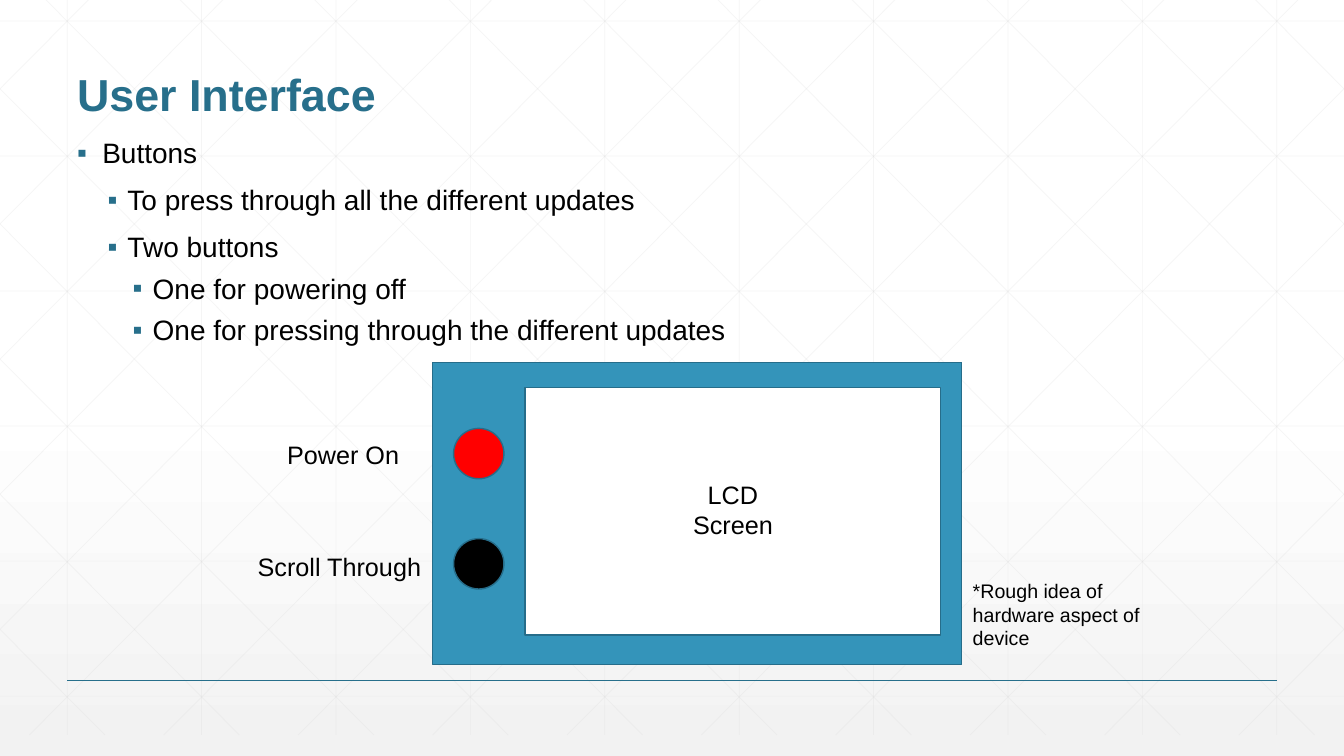
from dataclasses import dataclass

from lxml.etree import SubElement
from pptx import Presentation
from pptx.dml.color import RGBColor
from pptx.enum.shapes import MSO_CONNECTOR as Link, MSO_SHAPE as Kind
from pptx.enum.text import MSO_ANCHOR as Anchor, PP_ALIGN as Align
from pptx.oxml.ns import qn
from pptx.util import Emu, Pt

SCALE = 9525  # EMU in one px, 96 px to the inch
WIDE, HIGH = 1280, 720
FONT = "Arial"
BLACK, WHITE, TEAL, EDGE, GRID = "000000", "FFFFFF", "276F8B", "266D8A", "D9D9D9"


@dataclass
class Box:
    x: int
    y: int
    w: int
    h: int


@dataclass
class Part:
    kind: Kind
    box: Box
    fill: str


@dataclass
class Label:
    text: str
    box: Box
    size: int = 18
    color: str = BLACK
    bold: bool = False
    align: Align = Align.LEFT
    anchor: Anchor = Anchor.TOP
    lead: float = 1.0


@dataclass
class Level:
    left: int
    hang: int
    before: int


LEVELS = [Level(24, 24, 18), Level(48, 19, 12), Level(72, 19, 8)]
POINTS = [
    (0, "Buttons"),
    (1, "To press through all the different updates"),
    (1, "Two buttons"),
    (2, "One for powering off"),
    (2, "One for pressing through the different updates"),
]
PARTS = [
    Part(Kind.RECTANGLE, Box(412, 345, 504, 288), "3494BA"),
    Part(Kind.RECTANGLE, Box(500, 369, 396, 236), WHITE),
    Part(Kind.OVAL, Box(432, 408, 48, 48), "FF0000"),
    Part(Kind.OVAL, Box(432, 513, 48, 48), BLACK),
]
LABELS = [
    Label("User Interface", Box(64, 24, 1152, 96), 32, TEAL, True,
          anchor=Anchor.BOTTOM, lead=0.9),
    Label("LCD Screen", Box(632, 452, 132, 68), align=Align.CENTER),
    Label("Power On", Box(264, 414, 128, 38)),
    Label("Scroll Through", Box(236, 520, 176, 38)),
    Label("*Rough idea of hardware aspect of device", Box(917, 547, 192, 78), 14),
]


def px(n: float) -> Emu:
    return Emu(round(n * SCALE))


def place(box: Box) -> tuple:
    return px(box.x), px(box.y), px(box.w), px(box.h)


def rgb(code: str) -> RGBColor:
    return RGBColor.from_string(code)


def rule(slide, x1: float, y1: float, x2: float, y2: float,
         color: str = GRID, width: float = 0.5, alpha: int = 25) -> None:
    line = slide.shapes.add_connector(Link.STRAIGHT, px(x1), px(y1), px(x2), px(y2))
    line.line.width = Pt(width)
    line.line.color.rgb = rgb(color)
    props = line._element.spPr
    if alpha < 100:
        tint = props.find(".//" + qn("a:srgbClr"))
        SubElement(tint, qn("a:alpha"), val=str(alpha * 1000))
    SubElement(props, qn("a:effectLst"))


def lattice(slide) -> None:
    top, end, step, run = -20, 700, 128, 716
    slope = (end - top) / run
    for col in range(10):
        x = 64 + step * col
        rule(slide, x, top, x, end)
    for row in range(6):
        y = 20 + 128.6 * row
        rule(slide, 0, y, WIDE, y)
    # Diagonals, cut at the slide edges, each with its mirror
    for col in range(-5, 10):
        x = 24 + step * col
        x1, x2 = max(x, 0), min(x + run, WIDE)
        y1, y2 = top + (x1 - x) * slope, top + (x2 - x) * slope
        rule(slide, x1, y1, x2, y2)
        rule(slide, WIDE - x1, y1, WIDE - x2, y2)


def write(slide, label: Label) -> None:
    frame = slide.shapes.add_textbox(*place(label.box)).text_frame
    frame.word_wrap = True
    frame.vertical_anchor = label.anchor
    para = frame.paragraphs[0]
    para.text = label.text
    para.alignment = label.align
    para.line_spacing = label.lead
    style(para, label.size, label.color, label.bold)


def style(para, size: int, color: str, bold: bool = False) -> None:
    para.font.name = FONT
    para.font.size = Pt(size)
    para.font.bold = bold
    para.font.color.rgb = rgb(color)


def bullets(slide, box: Box) -> None:
    frame = slide.shapes.add_textbox(*place(box)).text_frame
    frame.word_wrap = True
    for i, (depth, text) in enumerate(POINTS):
        para = frame.add_paragraph() if i else frame.paragraphs[0]
        level = LEVELS[depth]
        para.text = text
        para.level = depth
        props = para._p.get_or_add_pPr()
        props.set("marL", str(px(level.left)))
        props.set("indent", str(px(-level.hang)))
        tint = SubElement(props, qn("a:buClr"))
        SubElement(tint, qn("a:srgbClr"), val=TEAL)
        SubElement(props, qn("a:buFont"), typeface=FONT)
        SubElement(props, qn("a:buChar"), char="▪")
        para.line_spacing = 0.9
        para.space_before = Pt(level.before if i else 0)
        style(para, 20, BLACK)


def draw(slide, part: Part) -> None:
    shape = slide.shapes.add_shape(part.kind, *place(part.box))
    shape.shadow.inherit = False
    shape.fill.solid()
    shape.fill.fore_color.rgb = rgb(part.fill)
    shape.line.color.rgb = rgb(EDGE)
    shape.line.width = Pt(1)


def main() -> None:
    deck = Presentation()
    deck.slide_width, deck.slide_height = px(WIDE), px(HIGH)
    slide = deck.slides.add_slide(deck.slide_layouts[6])

    # Background: white, fading to grey below the middle
    fill = slide.background.fill
    fill.gradient()
    fill.gradient_angle = 270
    for stop, (pos, code) in zip(fill.gradient_stops, [(0.53, WHITE), (1, "F2F2F2")]):
        stop.position = pos
        stop.color.rgb = rgb(code)
    lattice(slide)
    rule(slide, 64, 648, 1216, 648, TEAL, 1, 100)

    # Bullets, device and labels
    bullets(slide, Box(64, 128, 1152, 496))
    for part in PARTS:
        draw(slide, part)
    for label in LABELS:
        write(slide, label)
    deck.save("out.pptx")


if __name__ == "__main__":
    main()
